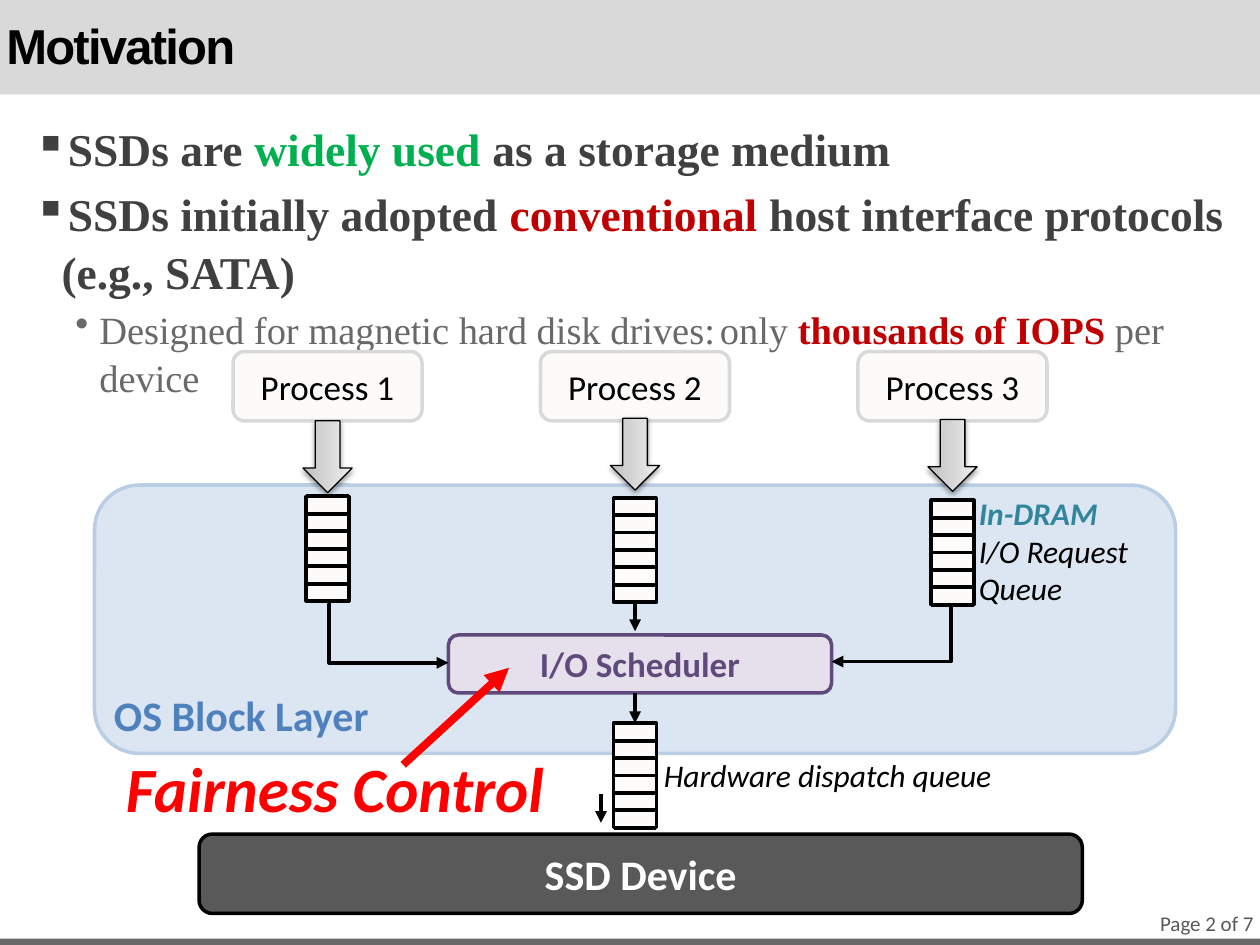
from pptx import Presentation
from pptx.dml.color import RGBColor
from pptx.enum.shapes import MSO_CONNECTOR, MSO_SHAPE
from pptx.enum.text import MSO_ANCHOR, PP_ALIGN
from pptx.oxml import parse_xml
from pptx.oxml.ns import nsdecls, qn
from pptx.oxml.xmlchemy import OxmlElement
from pptx.util import Inches, Pt

WIDTH, HEIGHT = 10, 7.5
BLACK = RGBColor(0x00, 0x00, 0x00)
WHITE = RGBColor(0xFF, 0xFF, 0xFF)
BAND = RGBColor(0xD9, 0xD9, 0xD9)
GREY = RGBColor(0x69, 0x69, 0x69)
DARK = RGBColor(0x40, 0x40, 0x40)
SLATE = RGBColor(0x59, 0x59, 0x59)
CREAM = RGBColor(0xFC, 0xFB, 0xF9)
GREEN = RGBColor(0x00, 0xB0, 0x50)
CRIMSON = RGBColor(0xC0, 0x00, 0x00)
RED = RGBColor(0xFF, 0x00, 0x00)
BLUE = RGBColor(0x4F, 0x81, 0xBD)
PALE_BLUE = RGBColor(0xDC, 0xE6, 0xF2)
EDGE_BLUE = RGBColor(0xB9, 0xCD, 0xE5)
TEAL = RGBColor(0x31, 0x85, 0x9C)
PURPLE = RGBColor(0x60, 0x4A, 0x7B)
LILAC = RGBColor(0xE6, 0xE0, 0xEC)

# Diagram columns: centre, top of the block arrow, top of the request queue
COLUMNS = [(2.6, 3.34, 3.94), (5.04, 3.32, 3.95), (7.56, 3.33, 3.97)]
MIDDLE = COLUMNS[1][0]
QUEUE_WIDTH, QUEUE_HEIGHT, QUEUE_SLOTS = 0.34, 0.83, 6


def add_span(para, text, size, color, font="Calibri", bold=False, italic=False):
    span = para.add_run()
    span.text = text
    span.font.name, span.font.size = font, Pt(size)
    span.font.bold, span.font.italic = bold, italic
    span.font.color.rgb = color
    return span


def set_frame(frame, anchor, insets=(0.1, 0.05, 0.1, 0.05), wrap=True):
    frame.word_wrap = wrap
    frame.vertical_anchor = anchor
    (frame.margin_left, frame.margin_top,
     frame.margin_right, frame.margin_bottom) = map(Inches, insets)


def add_text(slide, area, anchor=MSO_ANCHOR.TOP, **frame_options):
    box = slide.shapes.add_textbox(*map(Inches, area))
    set_frame(box.text_frame, anchor, **frame_options)
    return box.text_frame


def add_block(shapes, kind, area, fill=None, edge=None, line_width=2):
    block = shapes.add_shape(kind, *map(Inches, area))
    block.shadow.inherit = False
    if fill is not None:
        block.fill.solid()
        block.fill.fore_color.rgb = fill
    if edge is None:
        block.line.fill.background()
    else:
        block.line.color.rgb = edge
        block.line.width = Pt(line_width)
    return block


def add_labelled_box(slide, area, fill, edge, label, size, color, bold=True):
    block = add_block(slide.shapes, MSO_SHAPE.ROUNDED_RECTANGLE, area, fill, edge)
    set_frame(block.text_frame, MSO_ANCHOR.MIDDLE)
    para = block.text_frame.paragraphs[0]
    para.alignment = PP_ALIGN.CENTER
    add_span(para, label, size, color, bold=bold)
    return block


def add_line(shapes, start, end, color=BLACK, width=2.25, arrow=True, bend=None):
    kind = MSO_CONNECTOR.STRAIGHT if bend is None else MSO_CONNECTOR.ELBOW
    line = shapes.add_connector(kind, *map(Inches, (*start, *end)))
    line.line.color.rgb = color
    line.line.width = Pt(width)
    properties = line._element.spPr
    if arrow:
        tail = OxmlElement("a:tailEnd")
        tail.set("type", "triangle")
        properties.find(qn("a:ln")).append(tail)
    if bend is not None:
        guide = OxmlElement("a:gd")
        guide.set("name", "adj1")
        guide.set("fmla", f"val {round(bend * 100000)}")
        properties.find(qn("a:prstGeom")).get_or_add_avLst().append(guide)
    properties.append(OxmlElement("a:effectLst"))


def add_queue(slide, center, top):
    shapes = slide.shapes.add_group_shape().shapes
    left = center - QUEUE_WIDTH / 2
    add_block(shapes, MSO_SHAPE.RECTANGLE,
              (left, top, QUEUE_WIDTH, QUEUE_HEIGHT), CREAM, BLACK)
    for slot in range(QUEUE_SLOTS + 1):
        y = top + QUEUE_HEIGHT * slot / QUEUE_SLOTS
        add_line(shapes, (left, y), (left + QUEUE_WIDTH, y), arrow=False)


def add_block_arrow(slide, center, top):
    length, breadth = 0.57, 0.39
    area = (center - length / 2, top + (length - breadth) / 2, length, breadth)
    arrow = add_block(slide.shapes, MSO_SHAPE.RIGHT_ARROW, area, edge=BLACK, line_width=0.75)
    arrow.rotation = 90
    arrow.fill.gradient()
    properties = arrow._element.spPr
    stops = "".join(f'<a:gs pos="{place}000"><a:srgbClr val="{color}"/></a:gs>'
                    for place, color in ((0, "BDBDBD"), (35, "D1D1D1"), (100, "EEEEEE")))
    gradient = parse_xml(f'<a:gradFill {nsdecls("a")} rotWithShape="1"><a:gsLst>{stops}'
                         '</a:gsLst><a:lin ang="16200000" scaled="1"/></a:gradFill>')
    properties.replace(properties.find(qn("a:gradFill")), gradient)
    properties.find(qn("a:effectLst")).append(parse_xml(
        f'<a:outerShdw {nsdecls("a")} blurRad="{Pt(3.1)}" dist="{Pt(1.6)}" dir="5400000" '
        'rotWithShape="0"><a:srgbClr val="000000"><a:alpha val="38000"/></a:srgbClr>'
        '</a:outerShdw>'))


def add_bullet(para, symbol, indent, hanging, level, space):
    properties = para._p.get_or_add_pPr()
    properties.set("marL", str(Inches(indent)))
    properties.set("indent", str(-Inches(hanging)))
    bullet = OxmlElement("a:buChar")
    bullet.set("char", symbol)
    properties.append(bullet)
    para.level = level
    para.line_spacing = 1.05
    para.space_before = Pt(space)


def add_page_frame(slide):
    add_block(slide.shapes, MSO_SHAPE.RECTANGLE, (0, 0, WIDTH, HEIGHT / 10), BAND)
    add_block(slide.shapes, MSO_SHAPE.RECTANGLE, (0, HEIGHT - 0.05, WIDTH, 0.05), GREY)
    title = add_text(slide, (0, 0.15, 8.67, 0.47), MSO_ANCHOR.MIDDLE,
                     insets=(0.05, 0, 0.05, 0.05))
    span = add_span(title.paragraphs[0], "Motivation", 28, BLACK, "Arial", bold=True)
    span._r.get_or_add_rPr().set("spc", "-100")
    footer = add_text(slide, (8.5, 7.2, 1.5, 0.25), MSO_ANCHOR.MIDDLE,
                      insets=(0.05, 0, 0.05, 0))
    footer.paragraphs[0].alignment = PP_ALIGN.RIGHT
    add_span(footer.paragraphs[0], "Page 2 of 7", 12, SLATE)


def add_body(slide):
    main_bullet = ("▪", 0.22, 0.22, 0)
    sub_bullet = ("•", 0.52, 0.19, 1)
    # Each span: text, size, colour, bold
    points = [
        (main_bullet, 0, [("SSDs are ", 26, DARK, True), ("widely used ", 26, GREEN, True),
                          ("as a storage medium", 26, DARK, True)]),
        (main_bullet, 4.5, [("SSDs initially adopted ", 26, DARK, True),
                            ("conventional", 26, CRIMSON, True),
                            (" host interface protocols (e.g., SATA)", 26, DARK, True)]),
        (sub_bullet, 3, [("Designed for magnetic hard disk drives:", 22, GREY, False),
                         (" ", 11, GREY, False), ("only ", 22, GREY, False),
                         ("thousands of IOPS", 22, CRIMSON, True),
                         (" per device", 22, GREY, False)]),
    ]
    frame = add_text(slide, (0.17, 0.89, 9.83, 6.26))
    for index, (bullet, space, spans) in enumerate(points):
        para = frame.add_paragraph() if index else frame.paragraphs[0]
        add_bullet(para, *bullet, space)
        for text, size, color, bold in spans:
            add_span(para, text, size, color, "Times New Roman", bold)


def add_diagram(slide):
    # Processes, then the block layer, then what feeds it
    for number, (center, _, _) in enumerate(COLUMNS, 1):
        add_labelled_box(slide, (center - 0.75, 2.79, 1.5, 0.55), CREAM, BAND,
                         f"Process {number}", 20, BLACK, bold=False)
    layer = add_labelled_box(slide, (0.75, 3.85, 8.58, 2.13), PALE_BLUE, EDGE_BLUE,
                             "OS Block Layer", 24, BLUE)
    set_frame(layer.text_frame, MSO_ANCHOR.BOTTOM, (0.05, 0.05, 0.1, 0))
    layer.text_frame.paragraphs[0].alignment = PP_ALIGN.LEFT
    for center, arrow_top, queue_top in COLUMNS:
        add_block_arrow(slide, center, arrow_top)
        add_queue(slide, center, queue_top)

    # Scheduler, dispatch queue and device
    add_labelled_box(slide, (1.58, 6.62, 7.01, 0.63), SLATE, BLACK, "SSD Device", 24, WHITE)
    add_queue(slide, MIDDLE, 5.74)
    add_labelled_box(slide, (3.56, 5.04, 3.04, 0.46), LILAC, PURPLE, "I/O Scheduler", 20, PURPLE)
    add_line(slide.shapes, (2.6, 4.79), (3.56, 5.26), bend=0.015)
    add_line(slide.shapes, (7.56, 4.8), (6.6, 5.25), bend=0.013)
    for x, top, bottom in ((MIDDLE, 4.78, 5.01), (MIDDLE, 5.5, 5.74), (4.77, 6.3, 6.53)):
        add_line(slide.shapes, (x, top), (x, bottom))


def add_notes_on_diagram(slide):
    hardware = add_text(slide, (5.17, 5.95, 2.84, 0.4), wrap=False)
    add_span(hardware.paragraphs[0], "Hardware dispatch queue", 18, BLACK, italic=True)
    memory = add_text(slide, (7.67, 3.87, 1.4, 1.01), wrap=False)
    add_span(memory.paragraphs[0], "In-DRAM", 18, TEAL, bold=True, italic=True)
    for text in ("I/O Request", "Queue"):
        add_span(memory.add_paragraph(), text, 18, BLACK, italic=True)
    fairness = add_text(slide, (0.9, 5.9, 3.55, 0.71), wrap=False)
    add_span(fairness.paragraphs[0], "Fairness Control", 36, RED, bold=True, italic=True)
    add_line(slide.shapes, (3.2, 6.07), (4.04, 5.3), RED, 4.5)


def main():
    deck = Presentation()
    deck.slide_width, deck.slide_height = Inches(WIDTH), Inches(HEIGHT)
    slide = deck.slides.add_slide(deck.slide_layouts[6])
    add_page_frame(slide)
    add_body(slide)
    add_diagram(slide)
    add_notes_on_diagram(slide)
    deck.save("out.pptx")


if __name__ == "__main__":
    main()
